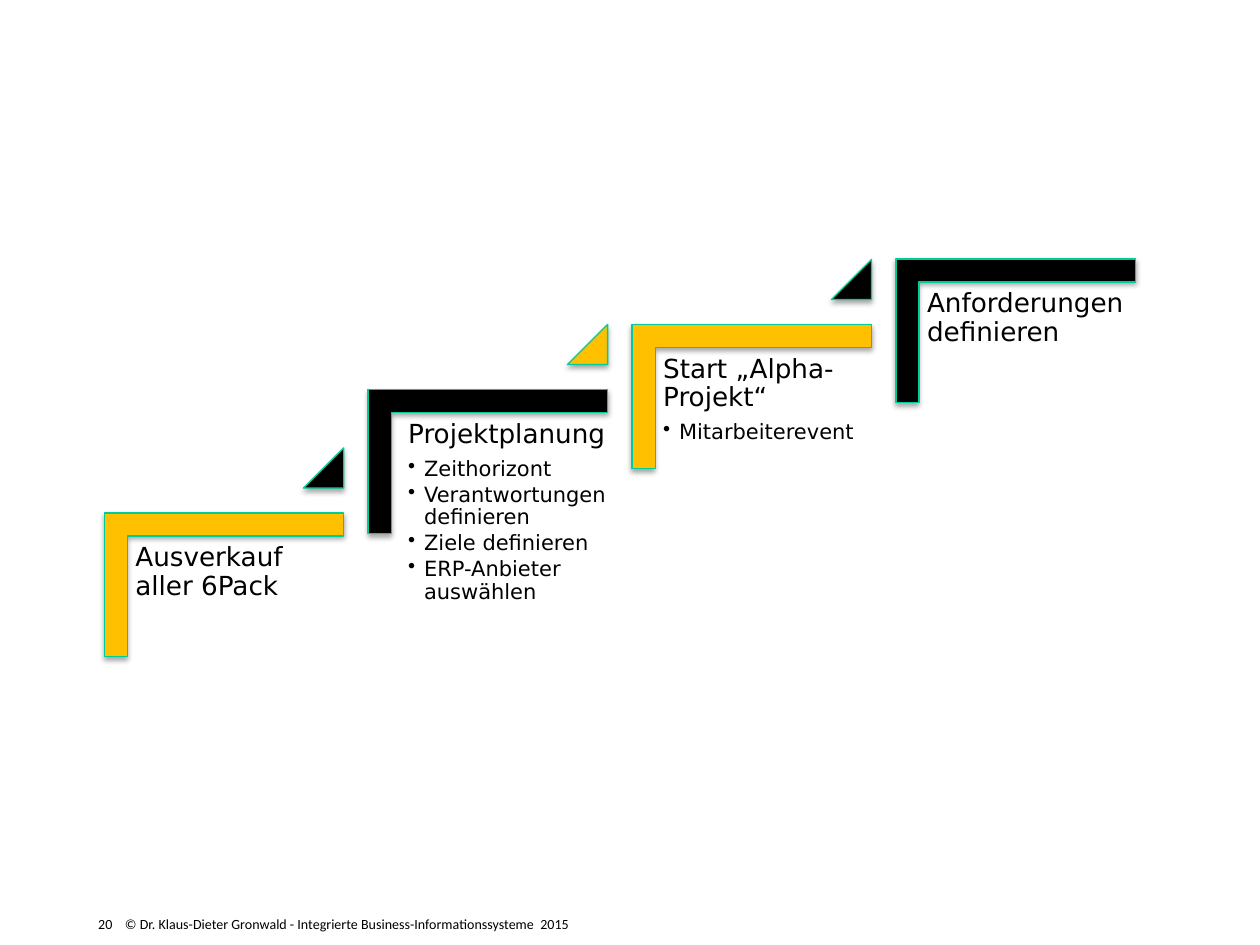
import pptx
import pptx.util
import pptx.dml.color
import pptx.enum.shapes
import pptx.oxml
import pptx.oxml.ns
from lxml import etree

Cm, Pt = pptx.util.Cm, pptx.util.Pt
SHAPE = pptx.enum.shapes.MSO_SHAPE
qn = pptx.oxml.ns.qn

YELLOW, BLACK, GREEN = "FFC000", "000000", "00CC99"
STEP_W, STEP_H = 4.83, 2.9
LEFT, PITCH = 2.1, 5.32
TRIANGLE = 0.81
# top, step colour, triangle colour, text indent, text height, title, bullets
STEPS = [
    (10.34, YELLOW, BLACK, 0.48, 3.81, "Ausverkauf aller 6Pack", []),
    (7.85, BLACK, YELLOW, 0.66, 6.15, "Projektplanung",
     ["Zeithorizont", "Verantwortungen definieren", "Ziele definieren",
      "ERP-Anbieter auswählen"]),
    (6.54, YELLOW, BLACK, 0.48, 3.81, "Start „Alpha-Projekt“",
     ["Mitarbeiterevent"]),
    (5.22, BLACK, None, 0.48, 3.81, "Anforderungen definieren", []),
]


def color(hex_text):
    """Turn a hex string into a colour."""
    return pptx.dml.color.RGBColor.from_string(hex_text)


def add_shadow(sp):
    """Give a shape a soft shadow straight below it."""
    sp.shadow.inherit = False
    effects = sp._element.spPr.find(qn("a:effectLst"))
    shadow = etree.SubElement(effects, qn("a:outerShdw"), blurRad=str(Pt(3.1)),
                              dist=str(Pt(1.8)), dir="5400000", rotWithShape="0")
    tint = etree.SubElement(shadow, qn("a:srgbClr"), val=BLACK)
    etree.SubElement(tint, qn("a:alpha"), val="35000")


def add_figure(slide, kind, x, y, w, h, fill, adjustments):
    """Add an outlined preset shape with a shadow."""
    sp = slide.shapes.add_shape(kind, Cm(x), Cm(y), Cm(w), Cm(h))
    for i, value in enumerate(adjustments):
        sp.adjustments[i] = value
    sp.fill.solid()
    sp.fill.fore_color.rgb = color(fill)
    sp.line.color.rgb = color(GREEN)
    sp.line.width = Pt(0.75)
    add_shadow(sp)
    return sp


def add_text_frame(slide, x, y, w, h, inset):
    """Add a wrapping text box and return its text frame."""
    tf = slide.shapes.add_textbox(Cm(x), Cm(y), Cm(w), Cm(h)).text_frame
    tf.word_wrap = True
    tf.margin_left = tf.margin_right = Cm(inset)
    tf.margin_top = tf.margin_bottom = Cm(inset)
    return tf


def format_paragraph(p, text, size, font):
    """Fill a paragraph and set its font."""
    p.text = text
    p.font.size = Pt(size)
    p.font.name = font
    p.font.color.rgb = color(BLACK)


def add_bullet(p):
    """Make a paragraph a bullet with a hanging indent."""
    p.level = 1
    pPr = p._p.get_or_add_pPr()
    pPr.set("marL", str(Cm(0.32)))
    pPr.set("indent", str(-Cm(0.32)))
    bullet = pptx.oxml.parse_xml(
        '<a:buChar xmlns:a="%s" char="•"/>' % pptx.oxml.ns.nsuri("a"))
    pPr.find(qn("a:defRPr")).addprevious(bullet)


def add_step(slide, x, y, fill, triangle_fill, indent, text_h, title, bullets):
    """Add one stair step: its corner, its text and the triangle above it."""
    # The corner is turned a quarter, so its box has width and height swapped.
    shift = (STEP_W - STEP_H) / 2
    corner = add_figure(slide, SHAPE.CORNER, x + shift, y - shift,
                        STEP_H, STEP_W, fill, [0.161, 0.161])
    corner.rotation = 90

    tf = add_text_frame(slide, x + indent, y + 0.48, 4.34, text_h, 0.15)
    for i, text in enumerate([title] + bullets):
        p = tf.add_paragraph() if i else tf.paragraphs[0]
        format_paragraph(p, text, 12 if i else 15, "DejaVu Sans")
        p.line_spacing = 0.9
        p.space_after = Pt(1.8 if i else 5.25)
        if i:
            add_bullet(p)

    if triangle_fill:
        add_figure(slide, SHAPE.ISOSCELES_TRIANGLE, x + STEP_W - TRIANGLE, y - 1.31,
                   TRIANGLE, TRIANGLE, triangle_fill, [1])


def add_footer(slide, x, y, w, h):
    """Add the page number and copyright line."""
    p = add_text_frame(slide, x, y, w, h, 0.2).paragraphs[0]
    format_paragraph(p, "20\t© Dr. Klaus-Dieter Gronwald - Integrierte "
                     "Business-Informationssysteme  2015", 8, "Calibri")
    tabs = etree.Element(qn("a:tabLst"))
    etree.SubElement(tabs, qn("a:tab"), pos=str(Cm(0.54)), algn="l")
    p._p.pPr.find(qn("a:defRPr")).addprevious(tabs)


def main():
    """Build the slide and save it."""
    prs = pptx.Presentation()
    prs.slide_width, prs.slide_height = Cm(25.4), Cm(19.05)
    slide = prs.slides.add_slide(prs.slide_layouts[6])
    add_footer(slide, 1.78, 18.29, 13.5, 0.76)
    for i, step in enumerate(STEPS):
        add_step(slide, LEFT + i * PITCH, *step)
    prs.save("out.pptx")


main()
